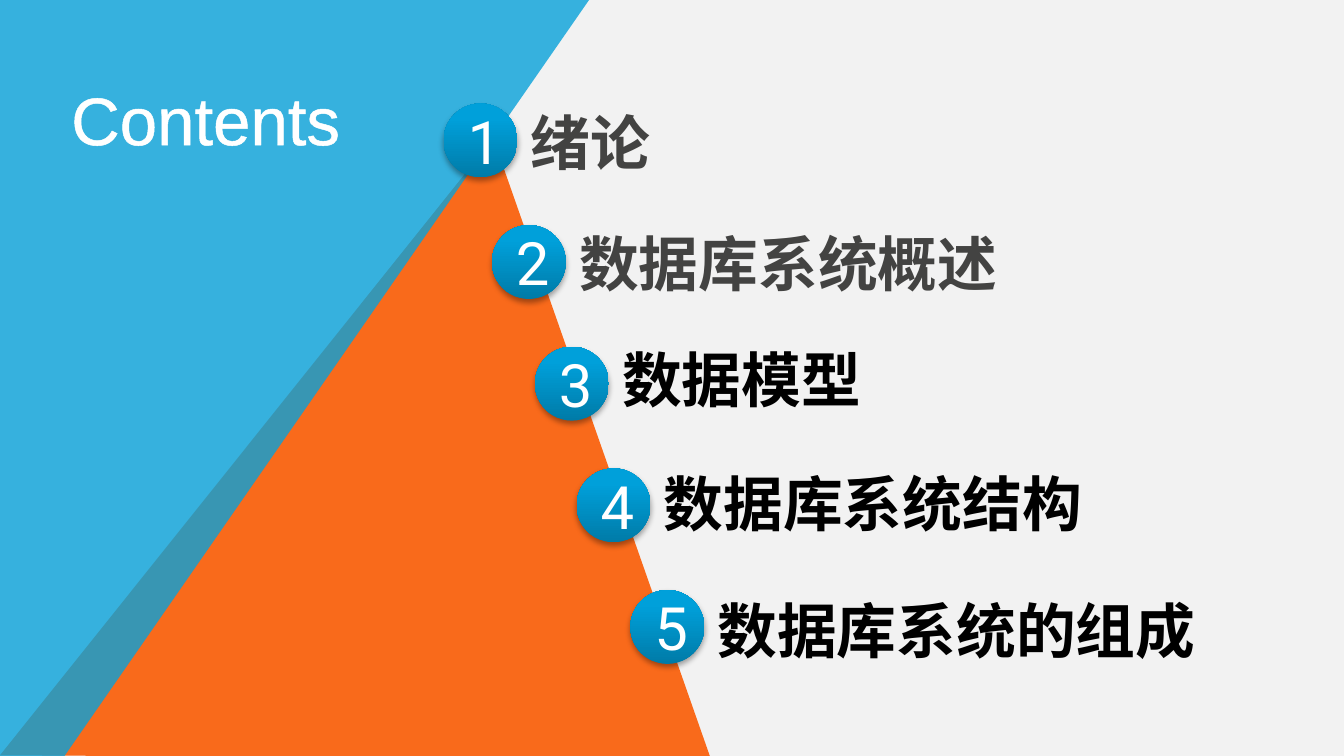
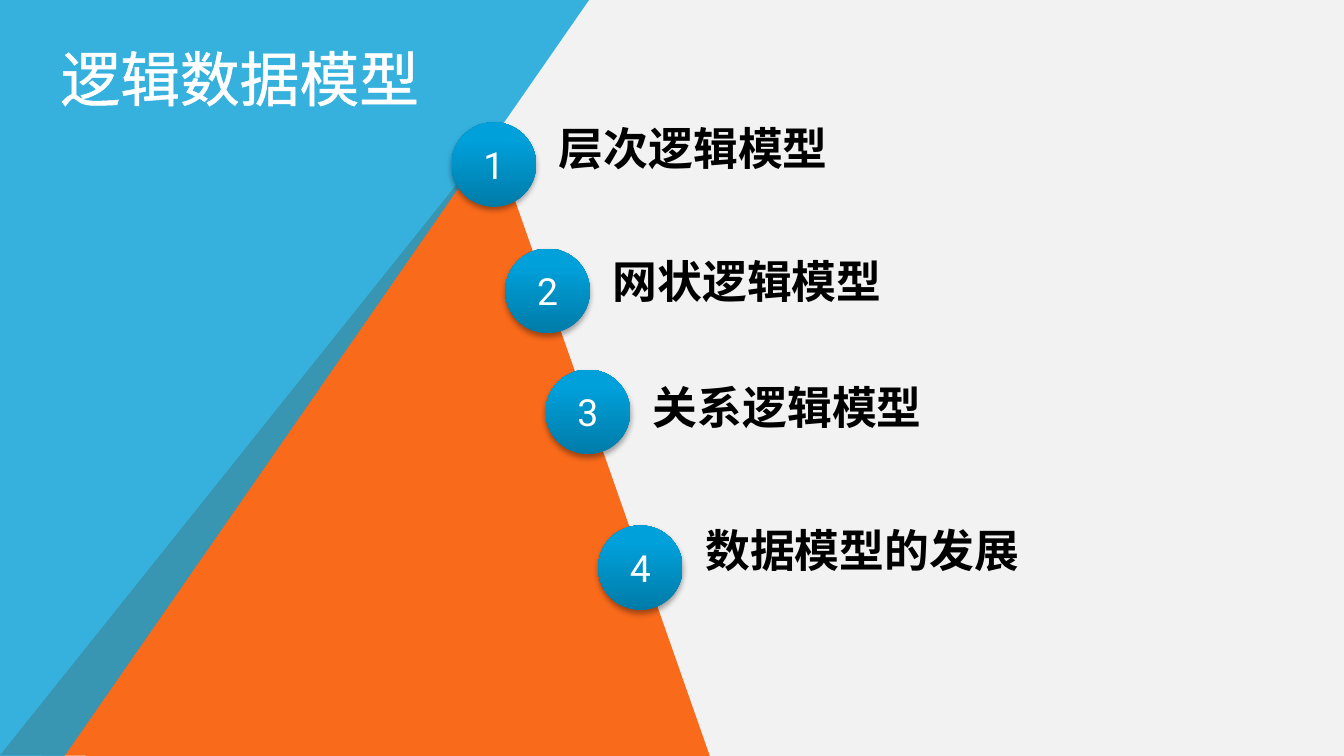
from dataclasses import dataclass

from lxml import etree
from pptx import Presentation
from pptx import util as u
from pptx.dml.color import RGBColor
from pptx.enum import shapes, text
from pptx.oxml import ns, parse_xml


@dataclass(frozen=True)
class Theme:
    page: str = "F2F2F2"
    blue: str = "08A1D9"
    orange: str = "F96A1B"
    white: str = "FFFFFF"
    gray: str = "434342"
    black: str = "000000"
    stops: tuple = ((0, "007BA8"), (80, "00A0DA"), (100, "00A0DB"))
    latin: str = "Arial"
    digit: str = "Roboto"
    cjk: str = "Noto Sans CJK SC"
    head: int = 36
    large: int = 32
    label: int = 24
    small: int = 20


T = Theme()
NS = ns.nsdecls("a")


def style(run, size, color, name, bold=False):
    font = run.font
    look = {"size": u.Pt(size), "name": name, "bold": bold}
    for key, value in look.items():
        setattr(font, key, value)
    font.color.rgb = RGBColor.from_string(color)
    # East Asian glyphs
    props = run._r.get_or_add_rPr()
    east = etree.SubElement(props, ns.qn("a:ea"))
    east.set("typeface", T.cjk)
    props.find(ns.qn("a:latin")).addnext(east)


def write(frame, words, **look):
    run = frame.paragraphs[0].add_run()
    run.text = words
    style(run, **look)
    return run


# Backdrop: two slanted panels, kept on the layout
def panel(slide, points, color):
    pts = [(u.Inches(x), u.Inches(y)) for x, y in points]
    form = slide.shapes.build_freeform(*pts[0], scale=1)
    form.add_line_segments(pts[1:], close=True)
    shape = form.convert_to_shape()
    shape.shadow.inherit = False
    shape.fill.solid()
    shape.fill.fore_color.rgb = RGBColor.from_string(color)
    shape.line.fill.background()
    return shape


def backdrop(slide):
    layout = slide.slide_layout
    fill = layout.background.fill
    fill.solid()
    fill.fore_color.rgb = RGBColor.from_string(T.page)
    peak = panel(slide, [(0, 5.62), (3.67, 1.03), (5.29, 5.65)], T.orange)
    side = panel(slide, [(-0.01, 5.66), (-0.01, -0.01), (4.39, -0.01),
                         (0.47, 5.64)], T.blue)
    tint = side.element.find(".//" + ns.qn("a:srgbClr"))
    etree.SubElement(tint, ns.qn("a:alpha")).set("val", "80000")
    for spot, shape in enumerate((peak, side), 2):
        layout.shapes.element.insert(spot, shape.element)


# Title
def title(slide, box, words, size, name, fit):
    shape = slide.shapes.title
    place = dict(zip(("left", "top", "width", "height"), map(u.Inches, box)))
    for key, value in place.items():
        setattr(shape, key, value)
    frame = shape.text_frame
    look = {"word_wrap": True, "auto_size": fit,
            "vertical_anchor": text.MSO_ANCHOR.TOP}
    for key, value in look.items():
        setattr(frame, key, value)
    frame.paragraphs[0].alignment = text.PP_ALIGN.LEFT
    run = write(frame, words, size=size, color=T.white, name=name)
    edge = parse_xml(f'<a:ln {NS} w="18415"><a:solidFill>'
                     f'<a:srgbClr val="{T.white}"/></a:solidFill></a:ln>')
    run._r.rPr.insert(0, edge)


# Numbered ball
def ball(slide, x, y, side, number, size):
    shape = slide.shapes.add_shape(shapes.MSO_SHAPE.OVAL, *map(
        u.Inches, (x, y, side, side)))
    shape.line.fill.background()
    stops = "".join(f'<a:gs pos="{pos * 1000}"><a:srgbClr val="{color}"/></a:gs>'
                    for pos, color in T.stops)
    grad = parse_xml(f'<a:gradFill {NS} rotWithShape="1"><a:gsLst>{stops}'
                     '</a:gsLst><a:lin ang="16200000" scaled="0"/></a:gradFill>')
    shade = parse_xml(
        f'<a:effectLst {NS}><a:outerShdw blurRad="{u.Pt(3.1)}" '
        f'dist="{u.Pt(1.8)}" dir="5400000" rotWithShape="0">'
        f'<a:srgbClr val="{T.black}"><a:alpha val="35000"/></a:srgbClr>'
        '</a:outerShdw></a:effectLst>')
    props = shape.element.spPr
    props.find(ns.qn("a:prstGeom")).addnext(grad)
    props.append(shade)
    frame = shape.text_frame
    frame.vertical_anchor = text.MSO_ANCHOR.MIDDLE
    frame.paragraphs[0].alignment = text.PP_ALIGN.CENTER
    write(frame, str(number), size=size, color=T.white, name=T.digit)


def label(slide, box, words, size, color, name):
    frame = slide.shapes.add_textbox(*map(u.Inches, box)).text_frame
    frame.word_wrap = True
    frame.auto_size = text.MSO_AUTO_SIZE.SHAPE_TO_FIT_TEXT
    write(frame, words, size=size, color=color, name=name, bold=True)


# One row: a ball with its label at a fixed gap
def steps(slide, rows, side, gap, high, digit, size, name):
    for number, (x, y, rise, wide, words, color) in enumerate(rows, 1):
        ball(slide, x, y, side, number, digit)
        label(slide, (x + gap, y + rise, wide, high), words, size, color, name)


def contents(slide):
    title(slide, (0.43, 0.53, 2.68, 0.53), "Contents", T.head, T.latin,
          text.MSO_AUTO_SIZE.NONE)
    items = [
        (3.3, -0.03, 1.3, "绪论", T.gray),
        (3.66, -0.04, 4.49, "数据库系统概述", T.gray),
        (3.98, -0.08, 2.05, "数据模型", T.black),
        (4.29, -0.06, 3.86, "数据库系统结构", T.black),
        (4.69, -0.02, 4.41, "数据库系统的组成", T.black),
    ]
    first, last = 0.77, 4.39
    pitch = (last - first) / (len(items) - 1)
    rows = [(x, first + i * pitch, *rest)
            for i, (x, *rest) in enumerate(items)]
    steps(slide, rows, 0.55, 0.55, 0.64, T.large, T.large, T.latin)


def models(slide):
    title(slide, (0.35, 0.26, 2.9, 0.64), "逻辑数据模型", T.large, T.cjk,
          text.MSO_AUTO_SIZE.SHAPE_TO_FIT_TEXT)
    rows = [
        (3.36, 0.91, -0.06, 2.68, "层次逻辑模型", T.black),
        (3.76, 1.85, -0.01, 2.68, "网状逻辑模型", T.black),
        (4.06, 2.75, 0.03, 2.85, "关系逻辑模型", T.black),
        (4.45, 3.91, -0.07, 2.68, "数据模型的发展", T.black),
    ]
    steps(slide, rows, 0.63, 0.7, 0.5, T.small, T.label, T.cjk)


def main():
    deck = Presentation()
    deck.slide_width = u.Inches(10)
    deck.slide_height = deck.slide_width * 9 // 16
    layout = deck.slide_layouts[5]
    for i, build in enumerate((contents, models)):
        slide = deck.slides.add_slide(layout)
        if i == 0:
            backdrop(slide)
        build(slide)
    deck.save("out.pptx")


if __name__ == "__main__":
    main()
